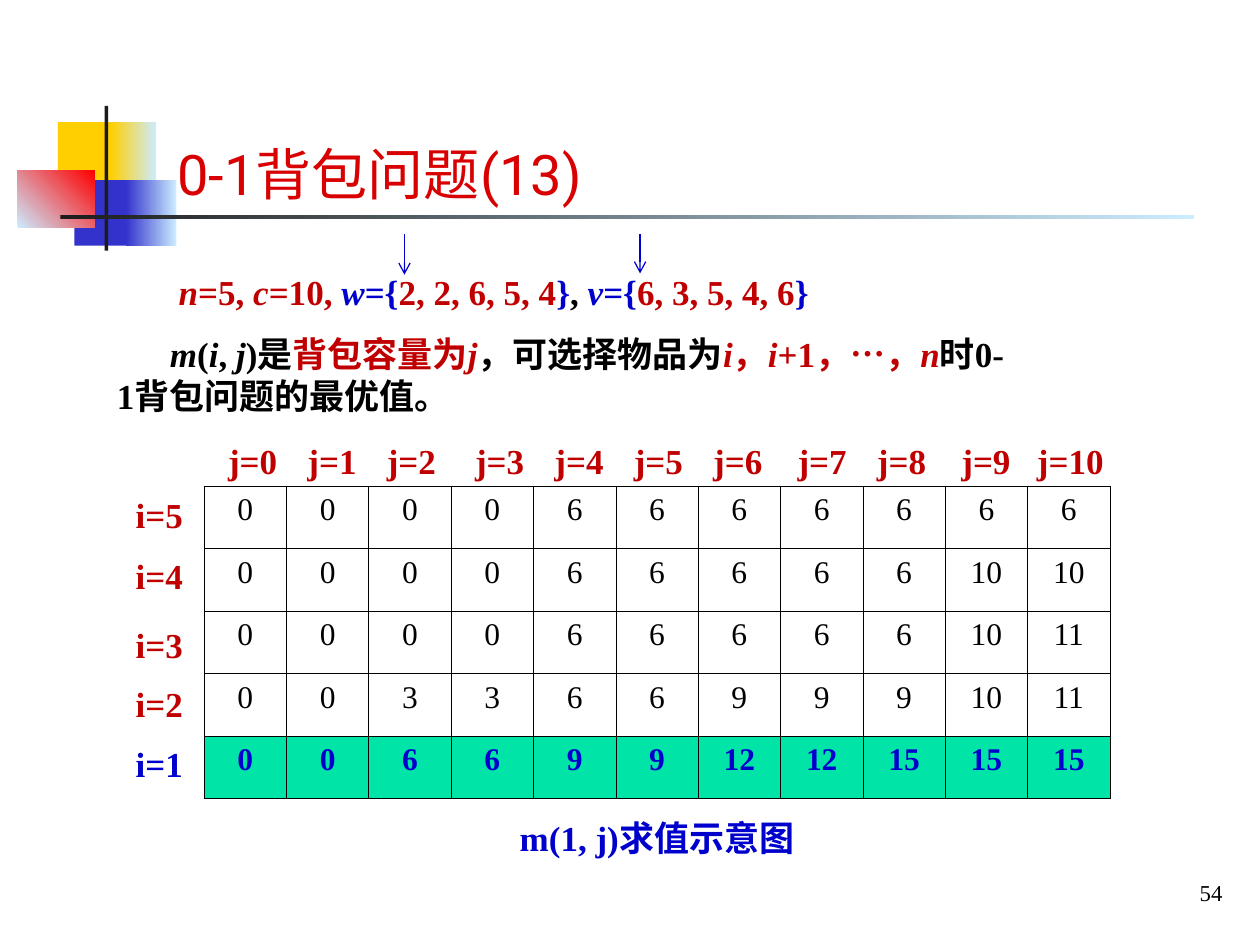
"""Build the knapsack slide showing the table of m(i, j) values."""
from lxml.etree import SubElement
from pptx import Presentation
from pptx.dml.color import RGBColor
from pptx.enum.shapes import MSO_CONNECTOR, MSO_SHAPE
from pptx.enum.text import MSO_ANCHOR, MSO_AUTO_SIZE, PP_ALIGN
from pptx.oxml.ns import qn
from pptx.util import Inches, Pt

YELLOW = RGBColor(0xFF, 0xCF, 0x01)
PALE = RGBColor(0xCC, 0xEC, 0xFF)
INDIGO = RGBColor(0x33, 0x33, 0xCC)
BRIGHT_RED = RGBColor(0xFF, 0x00, 0x00)
CHARCOAL = RGBColor(0x1C, 0x1C, 0x1C)
BLACK = RGBColor(0x00, 0x00, 0x00)
TITLE_RED = RGBColor(0xD8, 0x00, 0x00)
RED = RGBColor(0xC0, 0x00, 0x00)
BLUE = RGBColor(0x00, 0x00, 0xCC)
GREEN = RGBColor(0x00, 0xE4, 0xA8)
SERIF = "Times New Roman"

DECORATIONS = [
    ((0.46, 0.97, 0.48, 0.52), [YELLOW], 0),
    ((0.88, 0.97, 0.36, 0.52), [YELLOW, PALE], 0),
    ((0.59, 1.43, 0.46, 0.52), [INDIGO], 0),
    ((1.0, 1.43, 0.4, 0.52), [INDIGO, PALE], 0),
    ((0.14, 1.35, 0.61, 0.46), [PALE, BRIGHT_RED], 45),
    ((0.83, 0.84, 0.03, 1.15), [CHARCOAL], 0),
    ((0.48, 1.71, 9, 0.03), [CHARCOAL, PALE], 0),
]
INSTANCE = [
    ("n", RED, True), ("=5, ", RED, False), ("c", RED, True), ("=10, ", RED, False),
    ("w", BLUE, True), ("={", BLUE, False), ("2, 2, 6, 5, 4", RED, False),
    ("}", BLUE, False), (", ", BLACK, False), ("v", BLUE, True), ("={", BLUE, False),
    ("6, 3, 5, 4, 6", RED, False), ("}", BLUE, False),
]
DEFINITION = [
    ("m", BLACK, True), ("(", BLACK, False), ("i", BLACK, True), (", ", BLACK, False),
    ("j", BLACK, True), (")是", BLACK, False), ("背包容量为", RED, False), ("j", RED, True),
    ("，可选择物品为", BLACK, False), ("i", RED, True), ("，", RED, False), ("i", RED, True),
    ("+1，…，", RED, False), ("n", RED, True), ("时0-1背包问题的最优值。", BLACK, False),
]
VALUES = [
    [0, 0, 0, 0, 6, 6, 6, 6, 6, 6, 6],
    [0, 0, 0, 0, 6, 6, 6, 6, 6, 10, 10],
    [0, 0, 0, 0, 6, 6, 6, 6, 6, 10, 11],
    [0, 0, 3, 3, 6, 6, 9, 9, 9, 10, 11],
    [0, 0, 6, 6, 9, 9, 12, 12, 15, 15, 15],
]
TABLE_PLACE = (1.62, 3.86, 7.19, 2.48)
ROW_LABEL_TOPS = [3.87, 4.35, 4.9, 5.37, 5.84]
COLUMN_LABEL_LEFTS = [1.71, 2.34, 2.97, 3.67, 4.3, 4.93, 5.56, 6.23, 6.86, 7.53, 8.13]
ARROWS = [(5.08, 1.86, 2.17), (3.21, 1.86, 2.18)]


def inches(place):
    return [Inches(value) for value in place]


def write(para, spans, size, bold=True, name=SERIF):
    for text, color, italic in spans:
        span = para.add_run()
        span.text = text
        formats = {"name": name, "size": Pt(size), "bold": bold, "italic": italic}
        for key, value in formats.items():
            setattr(span.font, key, value)
        span.font.color.rgb = color


def add_text(page, place, spans, size=20, align=PP_ALIGN.CENTER, bold=True, name=SERIF,
             **frame_formats):
    frame = page.shapes.add_textbox(*inches(place)).text_frame
    formats = {"word_wrap": False, "auto_size": MSO_AUTO_SIZE.NONE, **frame_formats}
    for key, value in formats.items():
        setattr(frame, key, value)
    para = frame.paragraphs[0]
    para.alignment = align
    write(para, spans, size, bold, name)
    return para


def add_decoration(page, place, colors, angle):
    block = page.shapes.add_shape(MSO_SHAPE.RECTANGLE, *inches(place))
    block.shadow.inherit = False
    block.line.fill.background()
    if len(colors) == 1:
        block.fill.solid()
        block.fill.fore_color.rgb = colors[0]
        return
    block.fill.gradient()
    block.fill.gradient_angle = angle
    for stop, color in zip(block.fill.gradient_stops, colors):
        stop.color.rgb = color


def add_borders(cell):
    properties = cell._tc.get_or_add_tcPr()
    for side in ("a:lnL", "a:lnR", "a:lnT", "a:lnB"):
        border = SubElement(properties, qn(side), w=str(Pt(0.45)))
        fill = SubElement(border, qn("a:solidFill"))
        SubElement(fill, qn("a:srgbClr"), val=str(BLACK))


def add_values(page):
    rows, columns = len(VALUES), len(VALUES[0])
    table = page.shapes.add_table(rows, columns, *inches(TABLE_PLACE)).table
    table.first_row = table.horz_banding = False
    for column in table.columns:
        column.width = Inches(TABLE_PLACE[2] / columns)
    for index, values in enumerate(VALUES):
        table.rows[index].height = Inches(TABLE_PLACE[3] / rows)
        answer = index == rows - 1
        for cell, value in zip(table.rows[index].cells, values):
            add_borders(cell)
            if answer:
                cell.fill.solid()
                cell.fill.fore_color.rgb = GREEN
            else:
                cell.fill.background()
            para = cell.text_frame.paragraphs[0]
            para.alignment = PP_ALIGN.CENTER
            write(para, [(str(value), BLUE if answer else BLACK, False)], 18, answer)


def add_arrow(page, x, top, bottom):
    arrow = page.shapes.add_connector(MSO_CONNECTOR.STRAIGHT, *inches((x, top, x, bottom)))
    arrow.line.color.rgb = BLUE
    arrow.line.width = Pt(0.75)
    SubElement(arrow.line._get_or_add_ln(), qn("a:tailEnd"), type="arrow")
    SubElement(arrow._element.spPr, qn("a:effectLst"))


def main():
    deck = Presentation()
    deck.slide_width, deck.slide_height = Inches(10), Inches(7.5)
    page = deck.slides.add_slide(deck.slide_layouts[6])
    for place, colors, angle in DECORATIONS:
        add_decoration(page, place, colors, angle)
    add_text(page, (7.89, 6.9, 1.91, 0.37), [("54", BLACK, False)], 13, PP_ALIGN.RIGHT,
             bold=False, vertical_anchor=MSO_ANCHOR.MIDDLE)
    add_text(page, (1.31, 0.6, 8.42, 1.09), [("0-1背包问题(13)", TITLE_RED, False)], 32,
             PP_ALIGN.LEFT, bold=False, name="Roboto", word_wrap=True,
             vertical_anchor=MSO_ANCHOR.BOTTOM)
    add_values(page)
    for index, top in enumerate(ROW_LABEL_TOPS):
        number = len(ROW_LABEL_TOPS) - index
        color = BLUE if number == 1 else RED
        add_text(page, (0.98, top, 0.57, 0.44), [(f"i={number}", color, False)])
    for number, left in enumerate(COLUMN_LABEL_LEFTS):
        width = 0.73 if number == 10 else 0.59
        add_text(page, (left, 3.44, width, 0.44), [(f"j={number}", RED, False)])
    add_text(page, (3.96, 6.43, 2.51, 0.44), [("m(1, j)求值示意图", BLUE, False)])
    add_text(page, (1.32, 2.1, 5.27, 0.44), INSTANCE, align=PP_ALIGN.LEFT)
    definition = add_text(page, (0.83, 2.59, 7.25, 0.77), DEFINITION, align=PP_ALIGN.LEFT,
                          word_wrap=True)
    definition._p.get_or_add_pPr().set("indent", str(Inches(0.42)))
    for x, top, bottom in ARROWS:
        add_arrow(page, x, top, bottom)
    deck.save("out.pptx")


if __name__ == "__main__":
    main()
